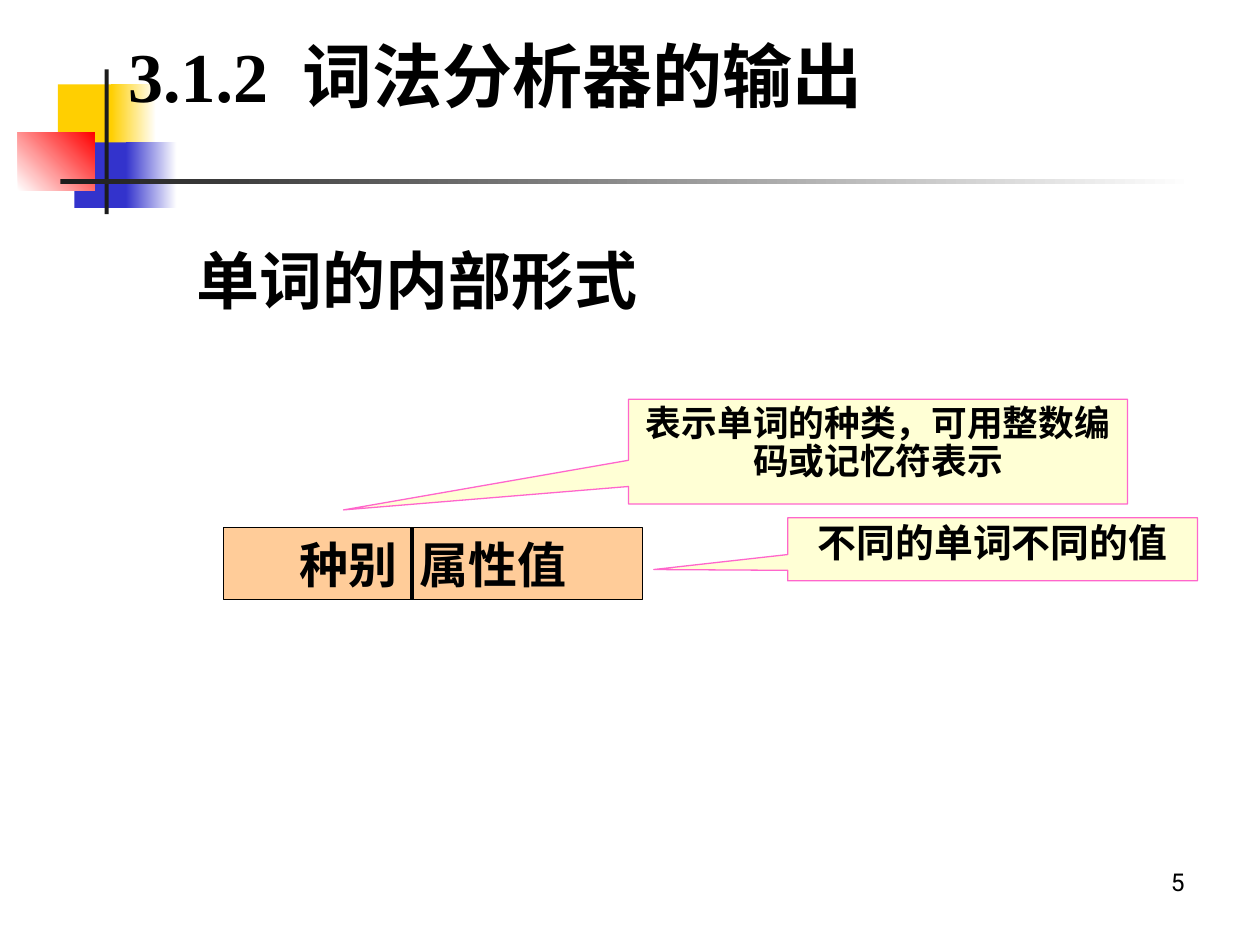
"""Build the slide on the output of a lexical analyser."""
from lxml import etree
from pptx import Presentation
from pptx.dml.color import RGBColor
from pptx.enum import shapes, text
from pptx.oxml.ns import qn
from pptx.util import Cm, Pt

COLORS = {"black": "000000", "white": "FFFFFF", "yellow": "FFCF01", "blue": "3333CC",
          "red": "FF0000", "dark": "1C1C1C", "orange": "FFCC99", "cream": "FFFFD5",
          "pink": "FF66CC"}
SERIF, SANS, CJK = "Times New Roman", "Roboto", "Noto Sans CJK SC"

TITLE = ("3.1.2 词法分析器的输出", (1.5, 0.53, 16.97, 1.96))
BODY = ("单词的内部形式", (3.71, 4.37, 19.41, 2.54))
NUMBER = ("5", (18.21, 17.35, 5.92, 1.32))
TOKEN = ("种别 属性值", (4.5, 10.64, 8.46, 1.45))
DIVIDER_X = 8.31
ORNAMENTS = [
    ((1.17, 1.7, 1.22, 1.32), ["yellow"], 0),
    ((2.24, 1.7, 0.91, 1.32), ["yellow", "white"], 0),
    ((1.5, 2.87, 1.17, 1.32), ["blue"], 0),
    ((2.54, 2.87, 1.02, 1.32), ["blue", "white"], 0),
    ((0.36, 2.67, 1.55, 1.17), ["white", "red"], 45),
    ((2.11, 1.4, 0.08, 2.92), ["dark"], 0),
    ((1.22, 3.61, 22.86, 0.1), ["dark", "white"], 0),
]
CALLOUTS = [
    ("表示单词的种类，可用整数编码或记忆符表示", (12.67, 8.05, 10.06, 2.11), (-1.071, 0.557), 20.4),
    ("不同的单词不同的值", (15.88, 10.44, 8.26, 1.27), (-0.827, 0.321), 22.2),
]


def rgb(name):
    return RGBColor.from_string(COLORS[name])


def place(sp, box):
    sp.left, sp.top, sp.width, sp.height = map(Cm, box)


def write(sp, content, size, font=SERIF, bold=True, align="CENTER", anchor="TOP",
          spacing=1.0, gap=0):
    """Write one paragraph; gap widens its space by that many points."""
    tf = sp.text_frame
    tf.word_wrap = True
    tf.auto_size = text.MSO_AUTO_SIZE.NONE
    tf.vertical_anchor = text.MSO_ANCHOR[anchor]
    p = tf.paragraphs[0]
    p.alignment = text.PP_ALIGN[align]
    p.line_spacing = spacing
    p.space_before = Pt(0)
    for part in filter(None, content.partition(" ")):
        r = p.add_run()
        r.text = part
        r.font.size, r.font.bold, r.font.name = Pt(size), bold, font
        r.font.color.rgb = rgb("black")
        rPr = r.font._element
        etree.SubElement(rPr, qn("a:ea")).set("typeface", CJK)
        if part == " ":
            rPr.set("spc", str(int(gap * 100)))
    return p


def add_box(slide, kind, box, fills, line=None, width=0, angle=0):
    sp = slide.shapes.add_shape(shapes.MSO_SHAPE[kind], *map(Cm, box))
    sp.shadow.inherit = False
    if len(fills) == 1:
        sp.fill.solid()
        sp.fill.fore_color.rgb = rgb(fills[0])
    else:
        sp.fill.gradient()
        sp.fill.gradient_angle = angle
        for stop, name, position in zip(sp.fill.gradient_stops, fills, (0, 1)):
            stop.color.rgb = rgb(name)
            stop.position = position
    if line:
        sp.line.color.rgb = rgb(line)
        sp.line.width = Pt(width)
    else:
        sp.line.fill.background()
    return sp


def main():
    prs = Presentation()
    prs.slide_width, prs.slide_height = Cm(25.4), Cm(19.05)
    s = prs.slides.add_slide(prs.slide_layouts[1])
    title, body = s.placeholders

    for box, fills, angle in ORNAMENTS:
        add_box(s, "RECTANGLE", box, fills, angle=angle)

    number = s.shapes.add_textbox(*map(Cm, NUMBER[1]))
    write(number, NUMBER[0], 14, font=SANS, bold=False, align="RIGHT")

    place(body, BODY[1])
    p = write(body, BODY[0], 36, align="LEFT", anchor="MIDDLE")
    pPr = p._p.get_or_add_pPr()
    pPr.set("marL", "0")
    pPr.set("indent", "0")
    etree.SubElement(pPr, qn("a:buNone"))

    token = add_box(s, "RECTANGLE", TOKEN[1], ["orange"], "black")
    write(token, TOKEN[0], 28, font=CJK, anchor="MIDDLE", gap=6)
    top, height = TOKEN[1][1], TOKEN[1][3]
    divider = s.shapes.add_connector(shapes.MSO_CONNECTOR.STRAIGHT, Cm(DIVIDER_X), Cm(top),
                                     Cm(DIVIDER_X), Cm(top + height))
    divider.line.color.rgb = rgb("black")
    divider.line.width = Pt(0)
    etree.SubElement(divider._element.spPr, qn("a:effectLst"))

    for content, box, tip, size in CALLOUTS:
        sp = add_box(s, "RECTANGULAR_CALLOUT", box, ["cream"], "pink", 0.75)
        sp.adjustments[0], sp.adjustments[1] = tip
        write(sp, content, size, spacing=0.9)

    place(title, TITLE[1])
    write(title, TITLE[0], 40, gap=10)
    s.shapes._spTree.append(title._element)
    prs.save("out.pptx")


if __name__ == "__main__":
    main()
